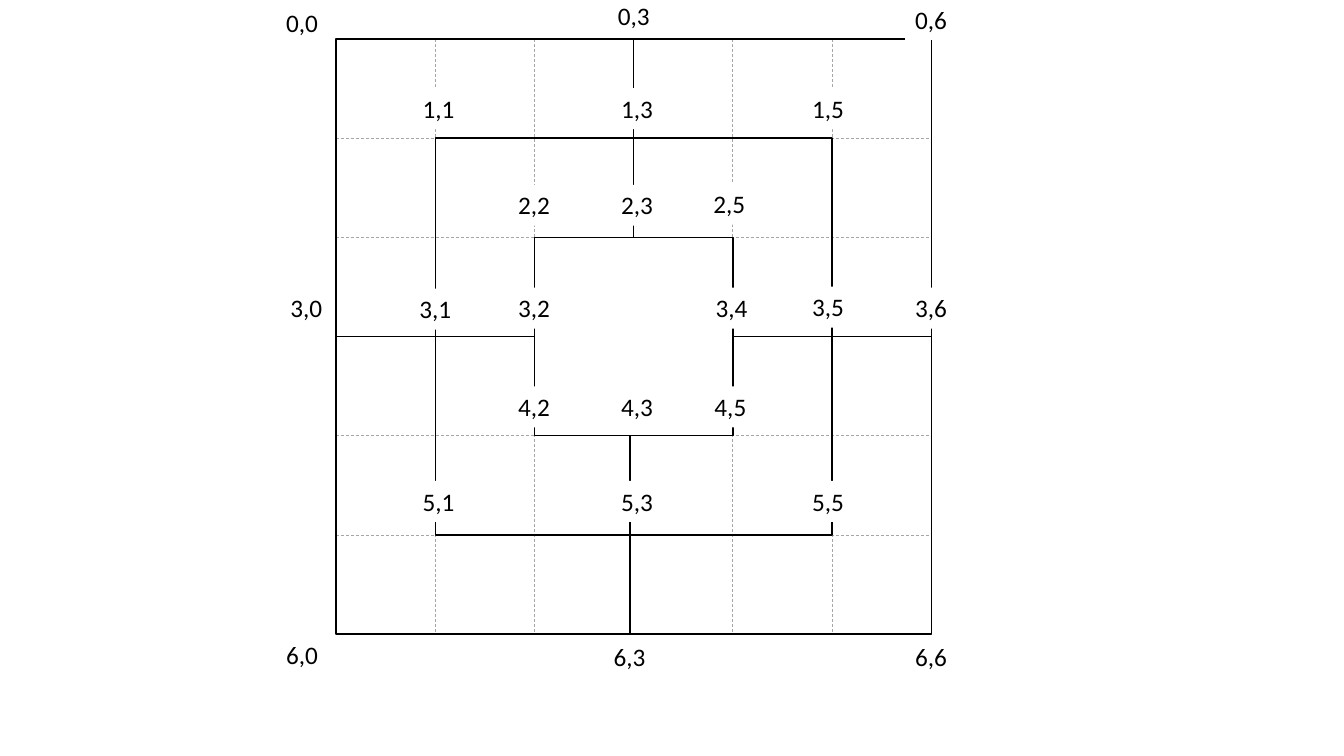
from dataclasses import dataclass

from lxml.etree import SubElement
from pptx import Presentation
from pptx.dml.color import RGBColor
from pptx.enum.dml import MSO_LINE
from pptx.enum.shapes import MSO_CONNECTOR, MSO_SHAPE
from pptx.enum.text import MSO_AUTO_SIZE
from pptx.oxml.ns import qn
from pptx.util import Emu, Pt

# Content: label text with its left and top in px
LABELS = [
    ("0,0", 263, 2), ("0,6", 862, -1), ("6,0", 263, 604), ("6,6", 862, 606),
    ("1,1", 393, 84), ("1,3", 582, 84), ("1,5", 764, 84), ("3,0", 267, 274),
    ("2,2", 484, 176), ("2,3", 582, 176), ("2,5", 670, 175), ("3,1", 390, 275),
    ("3,2", 484, 274), ("3,4", 672, 274), ("3,5", 764, 273), ("3,6", 862, 274),
    ("4,2", 484, 368), ("4,3", 582, 368), ("4,5", 671, 368), ("5,1", 393, 458),
    ("5,3", 582, 458), ("5,5", 764, 458), ("0,3", 579, -4), ("6,3", 575, 606),
]
LABEL_SIZE = (50, 39)

# Board geometry in px
SLIDE_SIZE = (1280, 720)
BOARD_LEFT, BOARD_TOP, BOARD_SIDE = 320, 37, 567
CELLS = 6
CELL = BOARD_SIDE / CELLS
RINGS = 3
TOP, LEFT, RIGHT = 0, 1, 3
BOTTOM_SPOKE_X = 600


@dataclass(frozen=True)
class Theme:
    ink: RGBColor = RGBColor(0x00, 0x00, 0x00)
    grid: RGBColor = RGBColor(0xA6, 0xA6, 0xA6)
    paper: RGBColor = RGBColor(0xFF, 0xFF, 0xFF)
    font: str = "Calibri"
    text_size: Pt = Pt(18)
    ring_width: Pt = Pt(1)
    spoke_width: Pt = Pt(0.75)
    grid_width: Pt = Pt(0.5)


THEME = Theme()


def px(value):
    return Emu(round(value * 9525))


def column_x(column):
    return BOARD_LEFT + column * CELL


def row_y(row):
    return BOARD_TOP + row * CELL


def add_line(slide, x1, y1, x2, y2, color, width):
    line = slide.shapes.add_connector(
        MSO_CONNECTOR.STRAIGHT, px(x1), px(y1), px(x2), px(y2))
    line.line.color.rgb = color
    line.line.width = width
    SubElement(line._element.spPr, qn("a:effectLst"))
    return line


def add_grid_line(slide, *ends):
    line = add_line(slide, *ends, THEME.grid, THEME.grid_width)
    line.line.dash_style = MSO_LINE.DASH


def add_ring(slide, index):
    side = px((CELLS - 2 * index) * CELL)
    ring = slide.shapes.add_shape(
        MSO_SHAPE.RECTANGLE, px(column_x(index)), px(row_y(index)), side, side)
    ring.shadow.inherit = False
    ring.fill.background()
    ring.line.color.rgb = THEME.ink
    ring.line.width = THEME.ring_width
    return ring


def add_label(slide, text, left, top):
    label = slide.shapes.add_textbox(
        px(left), px(top), *map(px, LABEL_SIZE))
    label.fill.solid()
    label.fill.fore_color.rgb = THEME.paper
    frame = label.text_frame
    frame.word_wrap = False
    frame.auto_size = MSO_AUTO_SIZE.SHAPE_TO_FIT_TEXT
    paragraph = frame.paragraphs[0]
    paragraph.text = text
    paragraph.font.name = THEME.font
    paragraph.font.size = THEME.text_size
    paragraph.font.color.rgb = THEME.ink


def main():
    presentation = Presentation()
    presentation.slide_width, presentation.slide_height = map(px, SLIDE_SIZE)
    slide = presentation.slides.add_slide(presentation.slide_layouts[6])

    # Dashed grid, leaving out the middle row and column
    for step in (1, 2, 4, 5):
        add_grid_line(slide, column_x(step), row_y(0), column_x(step), row_y(CELLS))
        add_grid_line(slide, column_x(0), row_y(step), column_x(CELLS), row_y(step))

    # Nested squares
    rings = [add_ring(slide, index) for index in range(RINGS)]

    # Spokes from the outer to the inner square
    for side in (TOP, LEFT, RIGHT):
        spoke = add_line(slide, 0, 0, 0, 0, THEME.ink, THEME.spoke_width)
        spoke.begin_connect(rings[0], side)
        spoke.end_connect(rings[-1], side)
    add_line(slide, BOTTOM_SPOKE_X, row_y(4), BOTTOM_SPOKE_X, row_y(CELLS),
             THEME.ink, THEME.spoke_width)

    # Coordinate labels
    for text, left, top in LABELS:
        add_label(slide, text, left, top)

    presentation.save("out.pptx")


if __name__ == "__main__":
    main()
